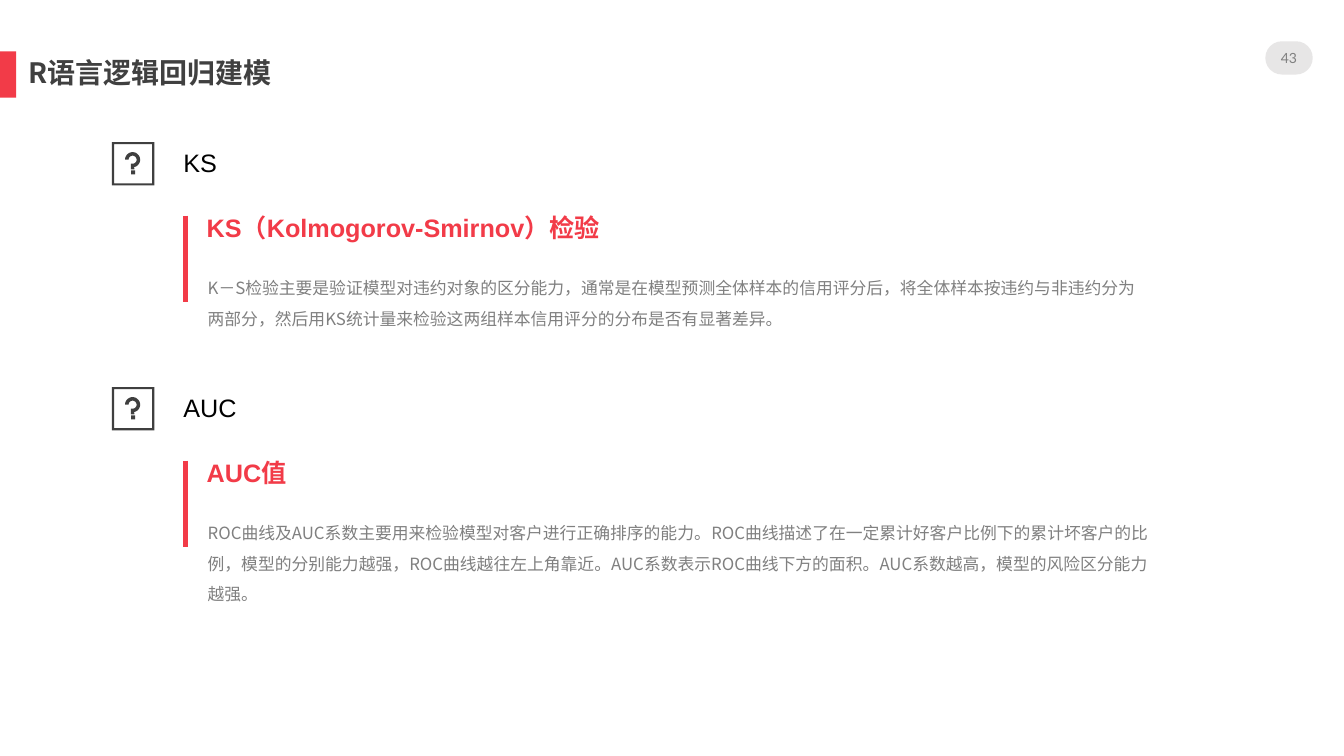
import math
from dataclasses import dataclass

import lxml.etree
import pptx
import pptx.dml.color
import pptx.enum.shapes
import pptx.enum.text
import pptx.oxml.ns
import pptx.shapes.autoshape
import pptx.slide
import pptx.util

PX = 9144  # EMU in one px, 100 px to the inch
RED, DARK, GREY, PALE, BLACK = "F23B48", "3F3F3F", "808080", "E7E6E6", "000000"
TITLE_COLOR = "404040"
CJK_FONT = "Noto Sans CJK SC"
SHAPES = pptx.enum.shapes.MSO_SHAPE
ANCHOR = pptx.enum.text.MSO_ANCHOR
ALIGN = pptx.enum.text.PP_ALIGN


@dataclass(frozen=True)
class Box:
    left: int
    top: int
    width: int
    height: int

    def emu(self) -> tuple[int, int, int, int]:
        return self.left * PX, self.top * PX, self.width * PX, self.height * PX


@dataclass(frozen=True)
class TextStyle:
    size: int
    font: str
    color: str
    bold: bool = False
    line_spacing: float = 1.0
    space_before: float = 0
    align: ALIGN = ALIGN.LEFT
    anchor: ANCHOR = ANCHOR.TOP
    inset: tuple[int, int] = (0, 0)


@dataclass(frozen=True)
class Topic:
    name: str
    heading: str
    body: str


TITLE = TextStyle(20, CJK_FONT, TITLE_COLOR, True, 0.9, 10, anchor=ANCHOR.MIDDLE)
PAGE_NUMBER = TextStyle(10, "Lato", GREY, align=ALIGN.CENTER, anchor=ANCHOR.MIDDLE)
TOPIC_NAME = TextStyle(18, "Arial", BLACK, inset=(10, 5))
HEADING = TextStyle(18, "Arial", RED, True, 0.9, 7.5)
BODY = TextStyle(12, CJK_FONT, GREY, False, 1.5, 7.5)

FIRST_TOPIC_TOP, TOPIC_STEP = 141, 243
TOPICS = [
    Topic(
        "KS",
        "KS（Kolmogorov-Smirnov）检验",
        "K－S检验主要是验证模型对违约对象的区分能力，通常是在模型预测全体样本的信用评分后，"
        "将全体样本按违约与非违约分为两部分，然后用KS统计量来检验这两组样本信用评分的分布是否有显著差异。",
    ),
    Topic(
        "AUC",
        "AUC值",
        "ROC曲线及AUC系数主要用来检验模型对客户进行正确排序的能力。"
        "ROC曲线描述了在一定累计好客户比例下的累计坏客户的比例，模型的分别能力越强，"
        "ROC曲线越往左上角靠近。AUC系数表示ROC曲线下方的面积。"
        "AUC系数越高，模型的风险区分能力越强。",
    ),
]


def rgb(color: str) -> pptx.dml.color.RGBColor:
    return pptx.dml.color.RGBColor.from_string(color)


def paint(shape: pptx.shapes.autoshape.Shape, color: str) -> None:
    shape.shadow.inherit = False
    shape.fill.solid()
    shape.fill.fore_color.rgb = rgb(color)
    shape.line.fill.background()


def add_filled(slide: pptx.slide.Slide, kind: SHAPES, box: Box, color: str,
               adjustment: float | None = None) -> None:
    shape = slide.shapes.add_shape(kind, *box.emu())
    if adjustment is not None:
        shape.adjustments[0] = adjustment
    paint(shape, color)


def add_text(slide: pptx.slide.Slide, box: Box, text: str, style: TextStyle) -> None:
    frame = slide.shapes.add_textbox(*box.emu()).text_frame
    frame.word_wrap = True
    frame.vertical_anchor = style.anchor
    horizontal, vertical = style.inset
    frame.margin_left = frame.margin_right = horizontal * PX
    frame.margin_top = frame.margin_bottom = vertical * PX
    paragraph = frame.paragraphs[0]
    paragraph.alignment = style.align
    paragraph.line_spacing = style.line_spacing
    paragraph.space_before = pptx.util.Pt(style.space_before)
    run = paragraph.add_run()
    run.text = text
    run.font.size = pptx.util.Pt(style.size)
    run.font.bold = style.bold
    run.font.color.rgb = rgb(style.color)
    run.font.name = style.font
    east_asian = lxml.etree.SubElement(run.font._element, pptx.oxml.ns.qn("a:ea"))
    east_asian.set("typeface", CJK_FONT)


def arc(radius: int, start: int, end: int) -> list[tuple[int, int]]:
    """Points in tenths of a px around the centre of the question mark's bowl."""
    center, steps = 75, 24
    angles = [math.radians(start + (end - start) * i / steps) for i in range(steps + 1)]
    return [(round(center + radius * math.cos(a)), round(center + radius * math.sin(a)))
            for a in angles]


def add_question_icon(slide: pptx.slide.Slide, left: int, top: int) -> None:
    add_filled(slide, SHAPES.FRAME, Box(left, top, 42, 43), DARK, 0.05)
    add_filled(slide, SHAPES.RECTANGLE, Box(left + 19, top + 28, 4, 4), DARK)
    stem = [(92, 170), (57, 170), (57, 115)]
    start, *outline = arc(75, -180, 78) + stem + arc(40, 90, -180)
    builder = slide.shapes.build_freeform(*start, scale=PX / 10)
    builder.add_line_segments(outline, close=True)
    paint(builder.convert_to_shape((left + 13) * PX, (top + 10) * PX), DARK)


def add_vertical_rule(slide: pptx.slide.Slide, x: int, top: int, height: int) -> None:
    rule = slide.shapes.add_connector(pptx.enum.shapes.MSO_CONNECTOR.STRAIGHT,
                                      x * PX, top * PX, x * PX, (top + height) * PX)
    rule.line.color.rgb = rgb(RED)
    rule.line.width = pptx.util.Pt(4)
    lxml.etree.SubElement(rule._element.spPr, pptx.oxml.ns.qn("a:effectLst"))


def add_topic(slide: pptx.slide.Slide, topic: Topic, top: int) -> None:
    add_question_icon(slide, 111, top)
    add_text(slide, Box(172, top, 433, 40), topic.name, TOPIC_NAME)
    add_text(slide, Box(206, top + 125, 935, 91), topic.body, BODY)
    add_text(slide, Box(205, top + 73, 469, 36), topic.heading, HEADING)
    add_vertical_rule(slide, 184, top + 73, 86)


def main() -> None:
    presentation = pptx.Presentation()
    presentation.slide_width, presentation.slide_height = 1333 * PX, 750 * PX
    slide = presentation.slides.add_slide(presentation.slide_layouts[6])
    add_filled(slide, SHAPES.RECTANGLE, Box(0, 51, 16, 46), RED)
    add_filled(slide, SHAPES.ROUNDED_RECTANGLE, Box(1255, 41, 47, 33), PALE, 0.5)
    add_text(slide, Box(28, 51, 417, 46), "R语言逻辑回归建模", TITLE)
    add_text(slide, Box(1255, 36, 47, 43), "43", PAGE_NUMBER)
    for index, topic in enumerate(TOPICS):
        add_topic(slide, topic, FIRST_TOPIC_TOP + index * TOPIC_STEP)
    presentation.save("out.pptx")


if __name__ == "__main__":
    main()
